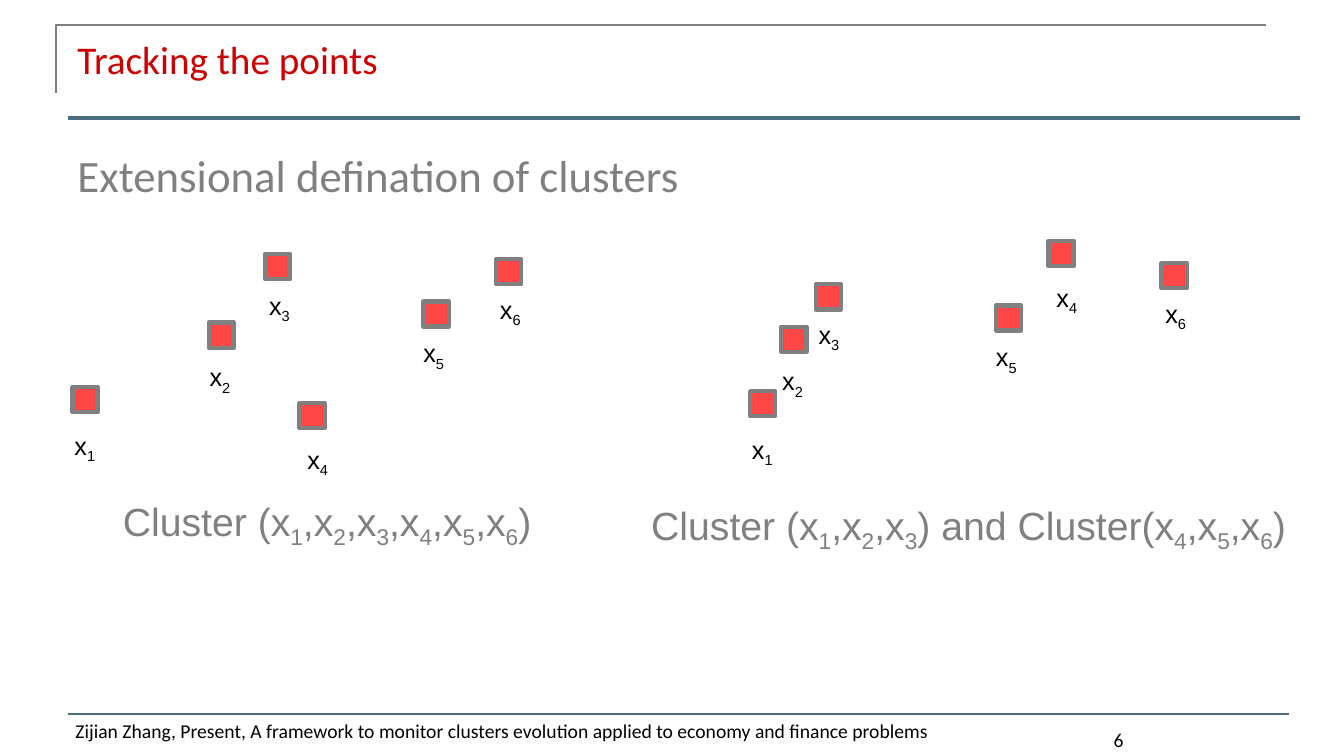
from typing import NamedTuple

from pptx import Presentation
from pptx import util as u
from pptx.dml import color
from pptx.enum import shapes, text
from pptx.oxml import ns
from lxml import etree

RED, GRAY, TEAL, BLACK, POINT_RED = "CC0000", "808080", "4C6D80", "000000", "FF4747"
POINT_SIZE = 0.25


class Rule(NamedTuple):
    left: float
    right: float
    top: float
    width: float


class Label(NamedTuple):
    """An underscore in the wording lowers the character after it."""
    wording: str
    left: float
    top: float
    width: float
    height: float
    size: int
    hue: str = BLACK
    font: str = "Calibri"
    frame: dict = {}
    align: text.PP_ALIGN = text.PP_ALIGN.LEFT


class Point(NamedTuple):
    number: int
    square: tuple[float, float]
    label: tuple[float, float]


GROW = {"auto_size": text.MSO_AUTO_SIZE.SHAPE_TO_FIT_TEXT}
NO_WRAP = GROW | {"word_wrap": False}

RULES = [Rule(0.67, 12.89, 1.17, 3), Rule(0.67, 12.78, 7.08, 1.5)]

LABELS = [
    Label("Tracking the points", 0.67, 0.3, 12, 0.95, 28, RED),
    Label("Extensional defination of clusters", 0.67, 1.42, 12, 5.58, 32, GRAY),
    Label("6", 9.54, 7, 3.11, 0.5, 14,
          frame={"vertical_anchor": text.MSO_ANCHOR.BOTTOM}, align=text.PP_ALIGN.CENTER),
    Label("Zijian Zhang, Present, A framework to monitor clusters evolution "
          "applied to economy and finance problems", 0.65, 7.08, 8.86, 0.42, 14),
    Label("Cluster (x_1,x_2,x_3,x_4,x_5,x_6)", 1.12, 4.88, 6.65, 0.57, 28, GRAY, "Arial", GROW),
    Label("Cluster (x_1,x_2,x_3) and Cluster(x_4,x_5,x_6)",
          6.36, 4.92, 6.65, 0.57, 28, GRAY, "Arial", GROW),
]

POINTS = [
    # One cluster
    Point(1, (0.72, 3.84), (0.64, 4.22)),
    Point(2, (2.07, 3.2), (1.98, 3.54)),
    Point(3, (2.63, 2.52), (2.57, 2.83)),
    Point(4, (2.97, 4), (2.95, 4.36)),
    Point(5, (4.2, 2.99), (4.1, 3.3)),
    Point(6, (4.92, 2.57), (4.86, 2.87)),
    # Two clusters
    Point(1, (7.44, 3.88), (7.36, 4.26)),
    Point(2, (7.75, 3.24), (7.66, 3.58)),
    Point(3, (8.09, 2.82), (8.02, 3.12)),
    Point(4, (10.4, 2.39), (10.38, 2.75)),
    Point(5, (9.88, 3.03), (9.78, 3.34)),
    Point(6, (11.52, 2.61), (11.46, 2.91)),
]


def rgb(value: str) -> color.RGBColor:
    return color.RGBColor.from_string(value)


def set_line(shape, hue: str, width: float) -> None:
    shape.line.color.rgb = rgb(hue)
    shape.line.width = u.Pt(width)


def draw_corner(page) -> None:
    builder = page.shapes.build_freeform(u.Inches(0.56), u.Inches(0.92))
    builder.add_line_segments(
        [(u.Inches(0.56), u.Inches(0.25)), (u.Inches(12.56), u.Inches(0.25))], close=False)
    corner = builder.convert_to_shape()
    corner.shadow.inherit = False
    corner.fill.background()
    set_line(corner, GRAY, 1.5)


def draw_rule(page, rule: Rule) -> None:
    line = page.shapes.add_connector(
        shapes.MSO_CONNECTOR.STRAIGHT,
        *map(u.Inches, (rule.left, rule.top, rule.right, rule.top)))
    set_line(line, TEAL, rule.width)
    etree.SubElement(line._element.spPr, ns.qn("a:effectLst"))


def add_span(para, wording: str, label: Label, lowered: bool = False) -> None:
    if not wording:
        return
    span = para.add_run()
    span.text = wording
    for name, value in {"name": label.font, "size": u.Pt(label.size)}.items():
        setattr(span.font, name, value)
    span.font.color.rgb = rgb(label.hue)
    if lowered:
        span._r.get_or_add_rPr().set("baseline", "-25000")


def draw_label(page, label: Label) -> None:
    box = page.shapes.add_textbox(
        *map(u.Inches, (label.left, label.top, label.width, label.height)))
    for name, value in ({"word_wrap": True} | label.frame).items():
        setattr(box.text_frame, name, value)
    para = box.text_frame.paragraphs[0]
    para.alignment = label.align
    start, *pieces = label.wording.split("_")
    add_span(para, start, label)
    for piece in pieces:
        add_span(para, piece[0], label, lowered=True)
        add_span(para, piece[1:], label)


def draw_point(page, point: Point) -> None:
    square = page.shapes.add_shape(
        shapes.MSO_SHAPE.RECTANGLE,
        *map(u.Inches, (*point.square, POINT_SIZE, POINT_SIZE)))
    square.shadow.inherit = False
    square.fill.solid()
    square.fill.fore_color.rgb = rgb(POINT_RED)
    set_line(square, GRAY, 3)
    draw_label(page, Label(f"x_{point.number}", *point.label, 0.42, 0.4, 18,
                           font="Arial", frame=NO_WRAP))


def main() -> None:
    deck = Presentation()
    deck.slide_width, deck.slide_height = u.Inches(13.33), u.Inches(7.5)
    page = deck.slides.add_slide(deck.slide_layouts[6])

    # Frame lines
    draw_corner(page)
    for rule in RULES:
        draw_rule(page, rule)

    # Headings, captions and footer
    for label in LABELS:
        draw_label(page, label)

    # Tracked points
    for point in POINTS:
        draw_point(page, point)

    deck.save("out.pptx")


if __name__ == "__main__":
    main()
